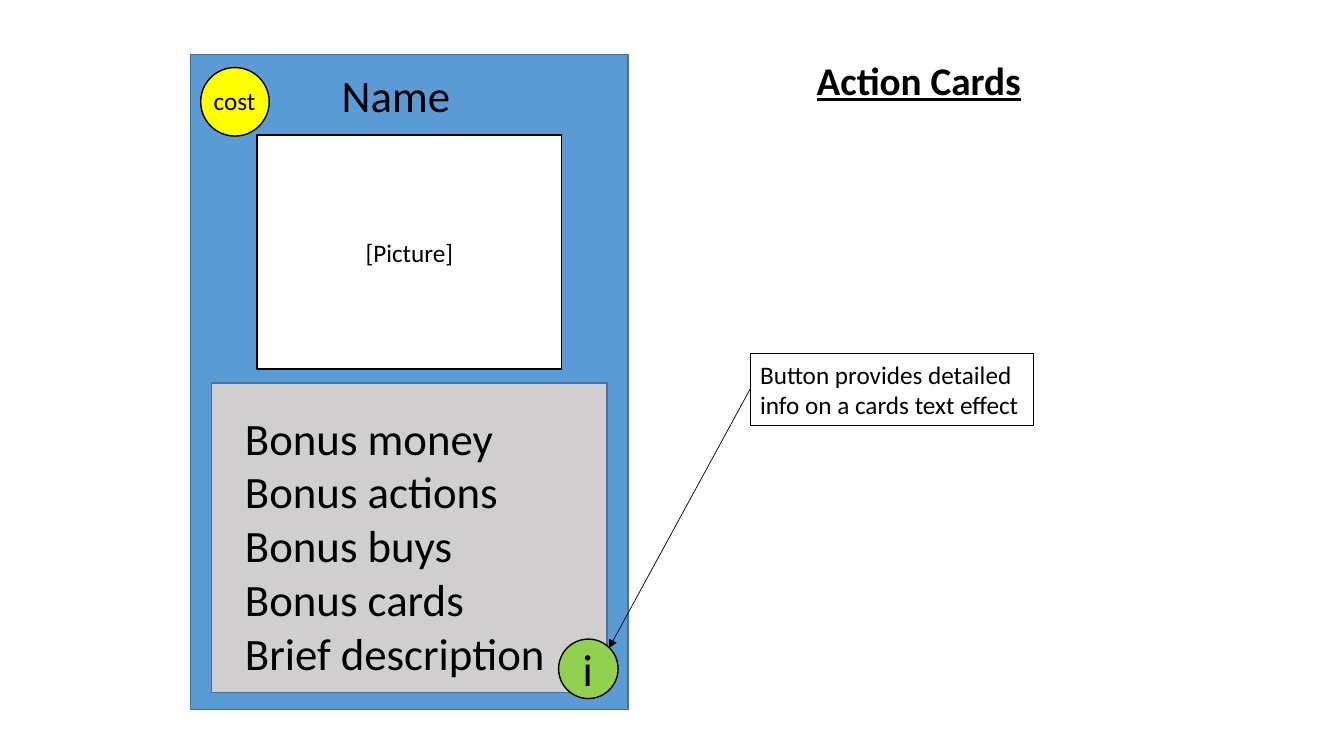
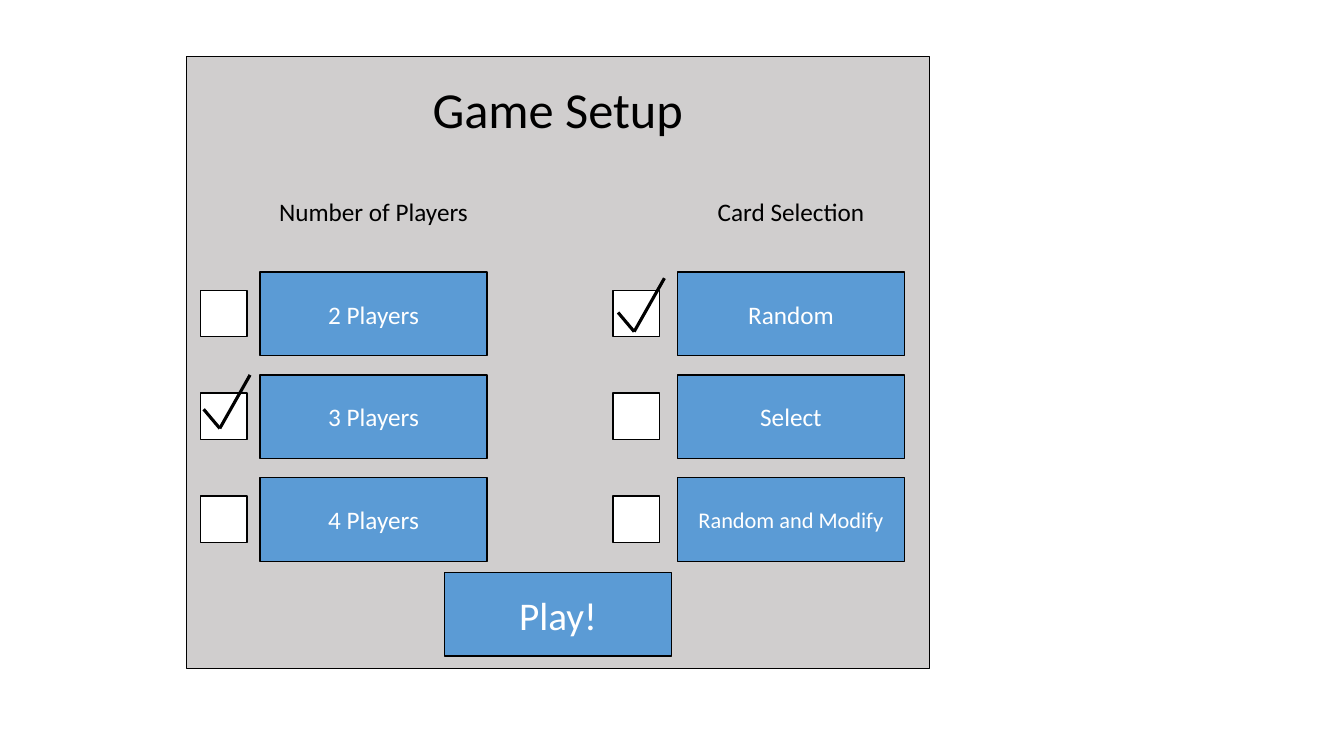
from pptx import Presentation
from pptx import util as u
from pptx.dml.color import RGBColor
from pptx.enum import shapes, text
from pptx.oxml.ns import qn
from lxml import etree

BLACK = RGBColor(0, 0, 0)
WHITE = RGBColor(255, 255, 255)
BLUE = RGBColor(0x5B, 0x9B, 0xD5)
NAVY = RGBColor(0x43, 0x73, 0x9E)
GRAY = RGBColor(0xD0, 0xCE, 0xCE)
YELLOW = RGBColor(255, 255, 0)
GREEN = RGBColor(0x92, 0xD0, 0x50)
FONT = "Calibri"
RECT = shapes.MSO_SHAPE.RECTANGLE
OVAL = shapes.MSO_SHAPE.OVAL
LEFT = text.PP_ALIGN.LEFT
CENTER = text.PP_ALIGN.CENTER


def put(slide, at, words=(), size=18, kind=None, slot=None, fill=None,
        edge=None, width=1, ink=BLACK, align=LEFT, bold=None):
    spot = [u.Inches(n) for n in at]
    if slot is not None:
        item = slot
        item.left, item.top, item.width, item.height = spot
        slide.shapes._spTree.append(item._element)
    elif kind is None:
        item = slide.shapes.add_textbox(*spot)
    else:
        item = slide.shapes.add_shape(kind, *spot)
        item.shadow.inherit = False
        if fill is None:
            item.fill.background()
        else:
            item.fill.solid()
            item.fill.fore_color.rgb = fill
        if edge is None:
            item.line.fill.background()
        else:
            item.line.color.rgb = edge
            item.line.width = u.Pt(width)
    frame = item.text_frame
    frame.auto_size = text.MSO_AUTO_SIZE.NONE
    frame.word_wrap = kind is not None
    frame.vertical_anchor = text.MSO_ANCHOR.TOP if kind is None else text.MSO_ANCHOR.MIDDLE
    for i, word in enumerate(words):
        para = frame.add_paragraph() if i else frame.paragraphs[0]
        para.alignment = align
        para.space_before = u.Pt(0)
        run = para.add_run()
        run.text = word
        run.font.name = FONT
        run.font.size = u.Pt(size)
        run.font.color.rgb = ink
        run.font.bold = run.font.underline = bold
    return item


def join(slide, start, end, width):
    ends = [u.Inches(n) for n in (*start, *end)]
    line = slide.shapes.add_connector(shapes.MSO_CONNECTOR.STRAIGHT, *ends)
    line.line.color.rgb = BLACK
    line.line.width = u.Pt(width)
    etree.SubElement(line._element.spPr, qn("a:effectLst"))
    return line


deck = Presentation()
deck.slide_width = u.Inches(13.33)
deck.slide_height = u.Inches(7.5)

card = deck.slides.add_slide(deck.slide_layouts[1])
title, body = card.placeholders
put(card, (1.89, 0.54, 4.34, 6.5), kind=RECT, fill=BLUE, edge=NAVY)
put(card, (1.99, 0.67, 0.68, 0.68), kind=OVAL, fill=YELLOW, edge=BLACK)
put(card, (2.02, 0.8, 0.62, 0.4), ["cost"])
put(card, (2.55, 1.34, 3.02, 2.32), ["[Picture]"], kind=RECT, fill=WHITE,
    edge=BLACK, align=CENTER)
put(card, (2.1, 3.8, 3.92, 3.07), kind=RECT, fill=GRAY, edge=NAVY)
perks = ["Bonus money", "Bonus actions", "Bonus buys", "Bonus cards", "Brief description"]
put(card, (2.33, 4.02, 3.21, 2.79), perks, 32, slot=body)
for para in body.text_frame.paragraphs:
    props = para._p.get_or_add_pPr()
    props.set("marL", "0")
    props.set("indent", "0")
    etree.SubElement(props, qn("a:buNone"))
put(card, (5.54, 6.34, 0.59, 0.59), kind=OVAL, fill=GREEN, edge=BLACK)
put(card, (5.68, 6.32, 0.31, 0.64), ["i"], 32)
put(card, (3.29, 0.62, 1.29, 0.64), ["Name"], 32)
arrow = join(card, (7.44, 3.86), (6.04, 6.43), 0.5)
etree.SubElement(arrow.line._get_or_add_ln(), qn("a:tailEnd"), type="triangle")
put(card, (7.44, 3.51, 2.81, 0.71),
    ["Button provides detailed info on a cards text effect"],
    kind=RECT, edge=BLACK, width=0.75)
put(card, (8, 0.51, 2.25, 0.57), ["Action Cards"], 28, slot=title, bold=True)

setup = deck.slides.add_slide(deck.slide_layouts[5])
put(setup, (1.85, 0.56, 7.37, 6.07), kind=RECT, fill=GRAY, edge=BLACK)
put(setup, (4.19, 0.72, 2.71, 0.71), ["Game Setup"], 36, slot=setup.shapes.title)
groups = [
    (2.58, 1.99, "Number of Players", ["2 Players", "3 Players", "4 Players"]),
    (6.72, 6.08, "Card Selection", ["Random", "Select", "Random and Modify"]),
]
for left, check, head, names in groups:
    put(setup, (left, 1.68, 2.25, 0.83), [head], kind=RECT, align=CENTER)
    for row, name in enumerate(names):
        top = 2.7 + 1.02 * row
        size = 16 if len(name) > 12 else 18
        put(setup, (left, top, 2.25, 0.83), [name], size, kind=RECT,
            fill=BLUE, edge=BLACK, ink=WHITE, align=CENTER)
        put(setup, (check, top + 0.18, 0.46, 0.46), kind=RECT, fill=WHITE, edge=BLACK)
put(setup, (4.41, 5.68, 2.25, 0.83), ["Play!"], 28, kind=RECT,
    fill=BLUE, edge=BLACK, ink=WHITE, align=CENTER)
for x, y in [(2.18, 4.25), (6.29, 3.29)]:
    join(setup, (x - 0.16, y - 0.19), (x, y), 2.25)
    join(setup, (x, y), (x + 0.3, y - 0.53), 2.25)

deck.save("out.pptx")
